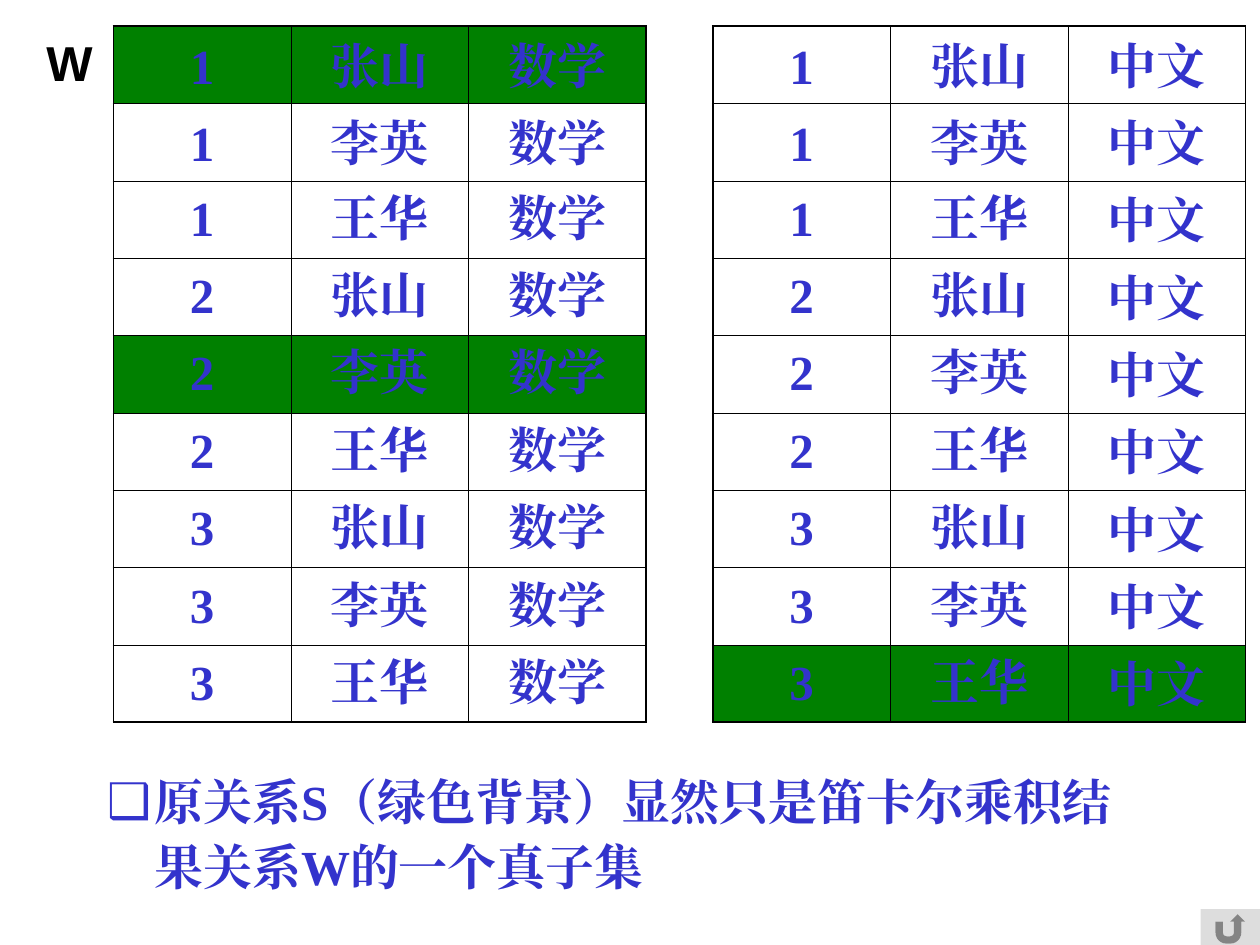
from lxml.etree import SubElement
from pptx import Presentation
from pptx.dml.color import RGBColor
from pptx.enum.shapes import MSO_SHAPE
from pptx.enum.text import MSO_ANCHOR, MSO_AUTO_SIZE, PP_ALIGN
from pptx.oxml.ns import qn
from pptx.util import Pt

BLUE, GREEN, BLACK, WHITE, GREY = "3333CC", "008000", "000000", "FFFFFF", "DDDDDD"
THIN, THICK = 0.45, 1.08


def write(frame, text, font="Times New Roman", color=BLUE, align=PP_ALIGN.CENTER,
          lines=1.1):
    par = frame.paragraphs[0]
    par.alignment, par.line_spacing = align, lines
    run = par.add_run()
    run.text = text
    run.font.size, run.font.bold, run.font.name = Pt(28), True, font
    run.font.color.rgb = RGBColor.from_string(color)
    SubElement(run._r.get_or_add_rPr(), qn("a:ea"), typeface=font)
    return par


def border(cell, widths):
    """Draw black cell borders; widths maps each side to points."""
    props = cell._tc.get_or_add_tcPr()
    for i, (side, width) in enumerate(widths.items()):
        line = props.makeelement(qn("a:ln" + side), {"w": str(Pt(width))})
        fill = SubElement(line, qn("a:solidFill"))
        SubElement(fill, qn("a:srgbClr"), val=BLACK)
        props.insert(i, line)


prs = Presentation()
prs.slide_width, prs.slide_height = Pt(720), Pt(540)
slide = prs.slides.add_slide(prs.slide_layouts[1])
shapes = slide.shapes
title = shapes.title
title._element.getparent().remove(title._element)

# Cartesian product: each number with each name, one subject per table
pairs = [(num, name) for num in "123" for name in ("张山", "李英", "王华")]
for left, subject, marked in ((64.8, "数学", (0, 4)), (407.3, "中文", (8,))):
    frame = shapes.add_table(len(pairs), 3, Pt(left), Pt(15), Pt(304.5), Pt(397.8))
    table = frame.table
    table.first_row = table.horz_banding = False
    for col in table.columns:
        col.width = Pt(101.5)
    for r, pair in enumerate(pairs):
        table.rows[r].height = Pt(44.2)
        for c, text in enumerate((*pair, subject)):
            cell = table.cell(r, c)
            if r < 2 or (c == 2 and subject == "中文"):
                cell.vertical_anchor = MSO_ANCHOR.MIDDLE
            if r in marked:
                cell.fill.solid()
                cell.fill.fore_color.rgb = RGBColor.from_string(GREEN)
            else:
                cell.fill.background()
            border(cell, {"L": THIN if c else THICK,
                          "R": THICK if c == 2 else THIN,
                          "T": THIN if r else THICK,
                          "B": THICK if r == len(pairs) - 1 else THIN})
            write(cell.text_frame, text)

label = shapes.add_textbox(Pt(19.4), Pt(15), Pt(39.6), Pt(41))
label.text_frame.word_wrap = True
write(label.text_frame, "W", font="Arial", color=BLACK, align=PP_ALIGN.RIGHT, lines=1)

body = slide.placeholders[1]
body.left, body.top, body.width, body.height = Pt(54), Pt(434), Pt(612), Pt(85)
body.fill.solid()
body.fill.fore_color.rgb = RGBColor.from_string(WHITE)
body.text_frame.auto_size = MSO_AUTO_SIZE.NONE
note = write(body.text_frame, "原关系S（绿色背景）显然只是笛卡尔乘积结果关系W的一个真子集",
             align=PP_ALIGN.LEFT)
note.space_before = Pt(0)
props = note._p.get_or_add_pPr()
props.set("marL", str(Pt(27)))
props.set("indent", str(Pt(-27)))
SubElement(SubElement(props, qn("a:buClr")), qn("a:srgbClr"), val=BLUE)
SubElement(props, qn("a:buChar"), char="❑")

button = shapes.add_shape(MSO_SHAPE.ACTION_BUTTON_RETURN,
                          Pt(686), Pt(519.6), Pt(34), Pt(22.5))
button.shadow.inherit = False
button.fill.solid()
button.fill.fore_color.rgb = RGBColor.from_string(GREY)
button.line.fill.background()

prs.save("out.pptx")
